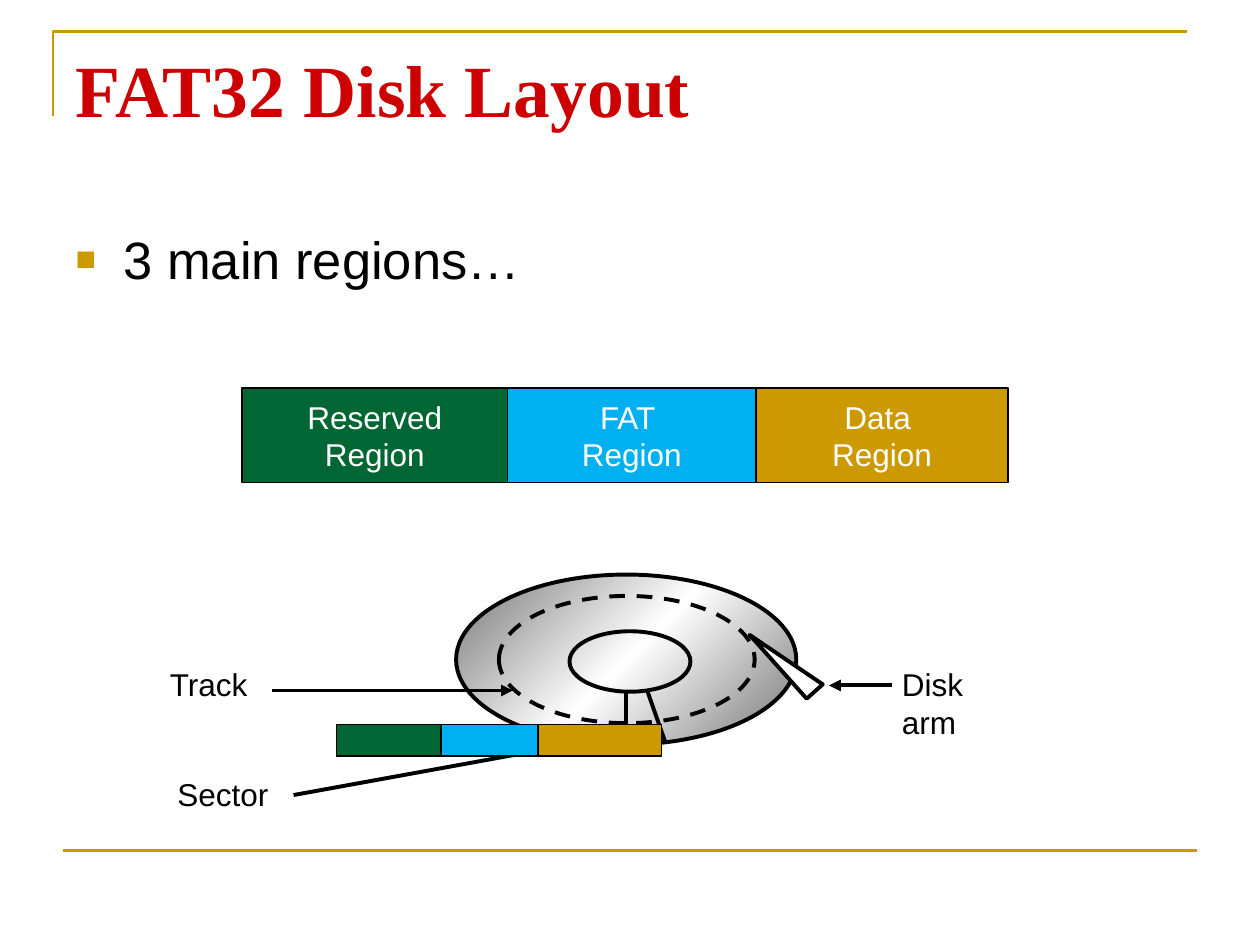
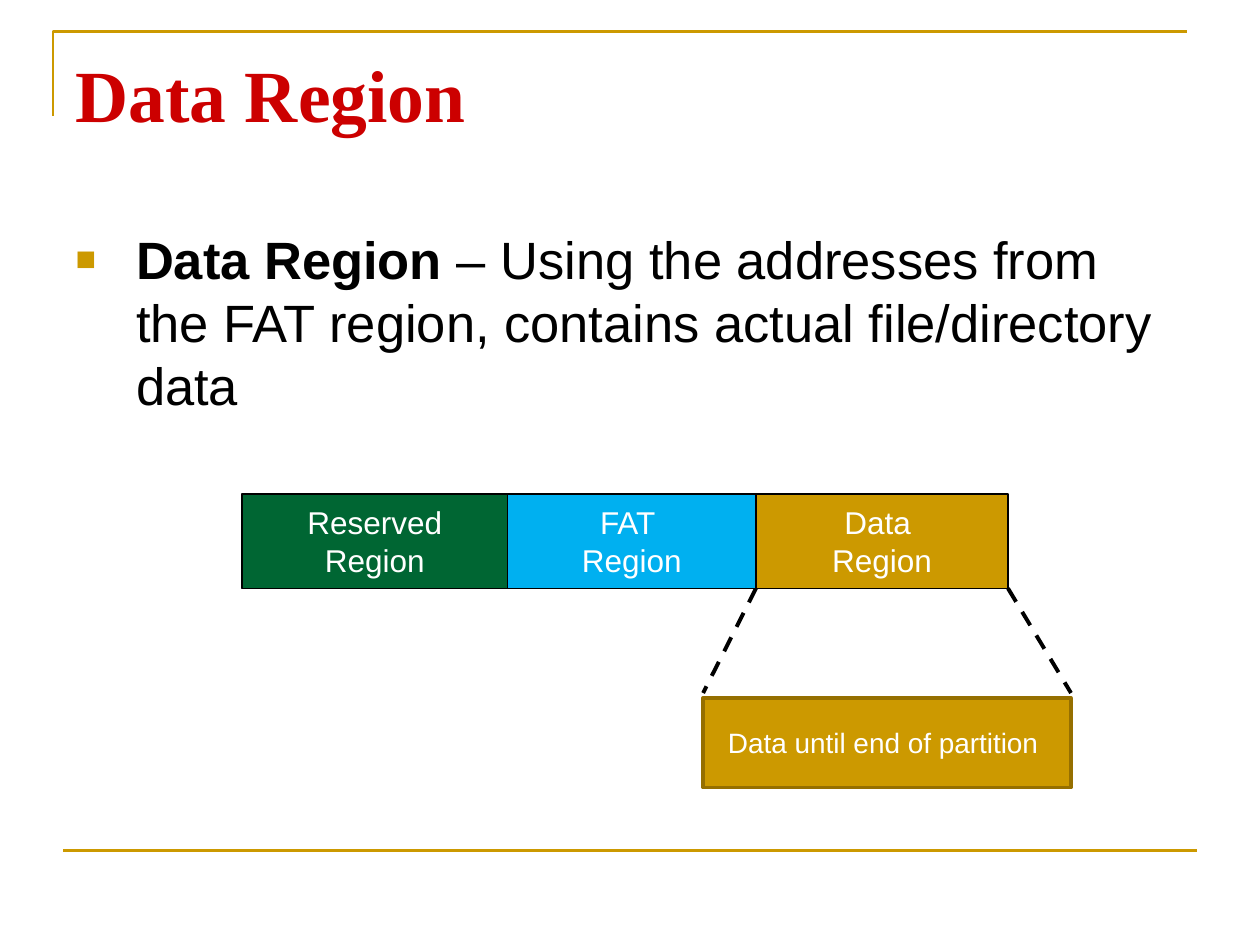
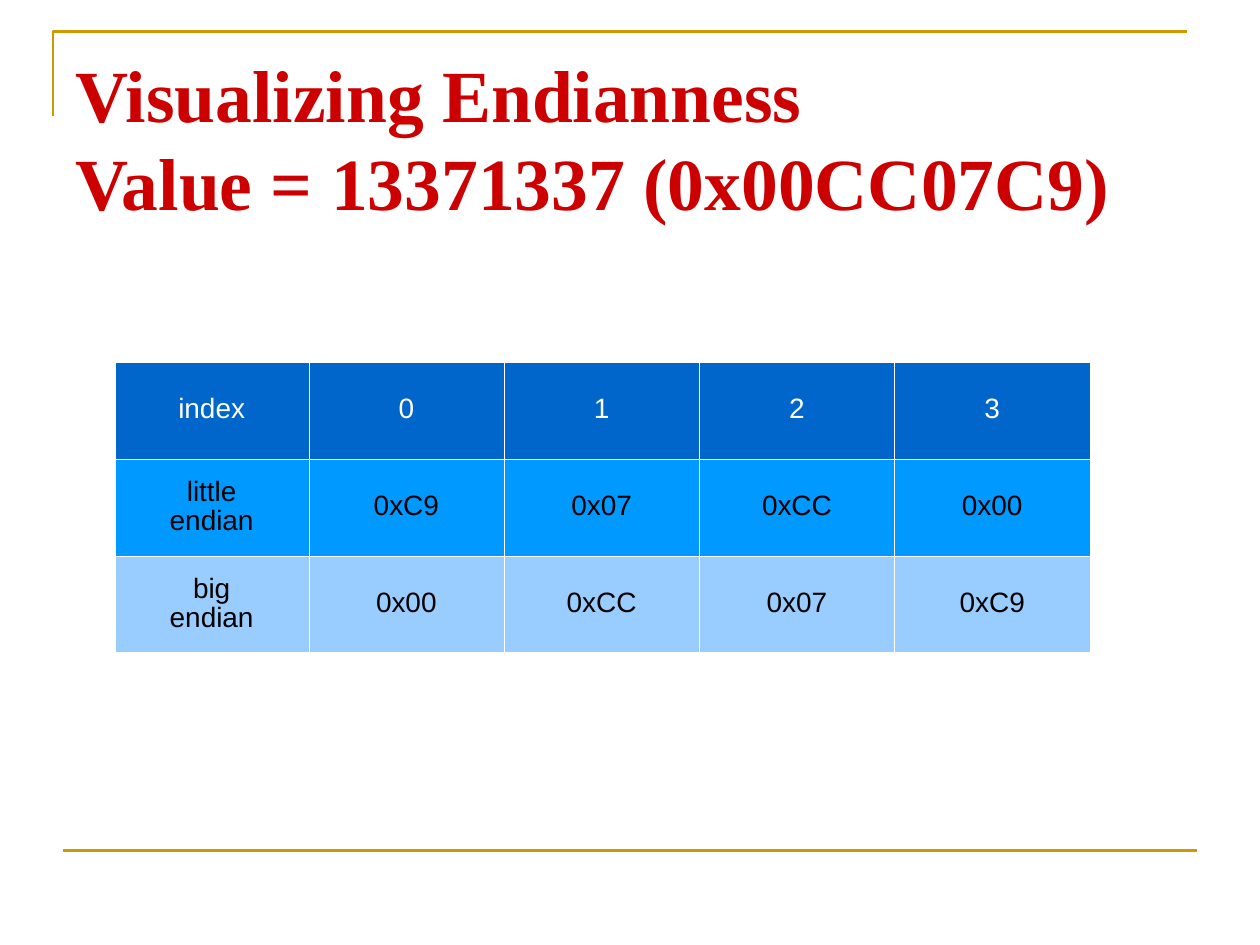
import copy
import pptx
import pptx.util
import pptx.dml.color
import pptx.enum.dml
import pptx.enum.shapes
import pptx.enum.text
import pptx.oxml
import pptx.oxml.ns
from lxml import etree

PX = 9144
qn = pptx.oxml.ns.qn
Pt = pptx.util.Pt
RGB = pptx.dml.color.RGBColor.from_string
SHAPE = pptx.enum.shapes.MSO_SHAPE
STRAIGHT = pptx.enum.shapes.MSO_CONNECTOR.STRAIGHT
DASH = pptx.enum.dml.MSO_LINE.DASH
ANCHOR = pptx.enum.text.MSO_ANCHOR
ALIGN = pptx.enum.text.PP_ALIGN
NO_FIT = pptx.enum.text.MSO_AUTO_SIZE.NONE


class Theme:
    black, white = "000000", "FFFFFF"
    green, sky, gold, dark_gold = "006633", "00B0F0", "CC9900", "956F00"
    disk_edge = "767676"
    table_rows = ["0066CC", "0099FF", "99CCFF"]
    hairline, rule, frame, stroke = 0.75, 1.5, 2, 2.25
    title = {"name": "Times New Roman", "size": Pt(42), "bold": True, "color": "CC0000"}
    body = {"name": "Arial", "size": Pt(30), "color": black}
    label = {"name": "Arial", "size": Pt(18), "color": black}
    region = {**label, "color": white}
    note = {**region, "size": Pt(16)}
    header = {**note, "bold": False}
    cell = {**header, "color": black}


def format_text(tf, fmt, align=ALIGN.LEFT):
    for p in tf.paragraphs:
        p.alignment = align
        for r in p.runs:
            for key, value in fmt.items():
                if key == "color":
                    r.font.color.rgb = RGB(value)
                else:
                    setattr(r.font, key, value)


def format_line(sp, color, width, dash=None):
    sp.line.color.rgb = RGB(color)
    sp.line.width = Pt(width)
    if dash:
        sp.line.dash_style = dash
    etree.SubElement(sp.element.spPr, qn("a:effectLst"))


prs = pptx.Presentation()
prs.slide_width, prs.slide_height = 1000 * PX, 750 * PX

contents = [
    (1, "FAT32 Disk Layout", 30, 125, 5, 38, [("3 main regions…", False)]),
    (1, "Data Region", 28, 129, 11, 48, [
        ("Data Region ", True),
        ("– Using the addresses from the FAT region, contains actual file/directory data", False)]),
    (5, "Visualizing Endianness\vValue = 13371337 (0x00CC07C9)", 28, 129, 11, 0, []),
]
for layout, title, top, height, inset, indent, runs in contents:
    s = prs.slides.add_slide(prs.slide_layouts[layout])
    sp = s.shapes.title
    sp.left, sp.top, sp.width, sp.height = [v * PX for v in (50, top, 900, height)]
    tf = sp.text_frame
    tf.text = title
    tf.auto_size, tf.vertical_anchor, tf.margin_top = NO_FIT, ANCHOR.TOP, inset * PX
    format_text(tf, Theme.title)
    if not runs:
        continue
    sp = s.placeholders[1]
    sp.left, sp.top, sp.width, sp.height = [v * PX for v in (50, 175, 900, 495)]
    tf = sp.text_frame
    tf.auto_size = NO_FIT
    p = tf.paragraphs[0]
    for text, bold in runs:
        r = p.add_run()
        r.text, r.font.bold = text, bold
    format_text(tf, Theme.body)
    p.space_before = Pt(7.5)
    pPr = p._p.get_or_add_pPr()
    pPr.set("marL", str(indent * PX))
    pPr.set("indent", str(-indent * PX))
    color = etree.SubElement(pPr, qn("a:buClr"))
    etree.SubElement(color, qn("a:srgbClr"), val=Theme.gold)
    etree.SubElement(pPr, qn("a:buSzPct"), val="65000")
    etree.SubElement(pPr, qn("a:buChar"), char="■")

layout_slide, data_slide, endian_slide = prs.slides

fb = layout_slide.shapes.build_freeform(42, 92, scale=PX)
fb.add_line_segments([(42, 25), (942, 25)], close=False)
corner = fb.convert_to_shape()
corner.fill.background()
bottom_rule = layout_slide.shapes.add_connector(STRAIGHT, 50 * PX, 675 * PX, 950 * PX, 675 * PX)
for number, sp in enumerate((corner, bottom_rule), 20):
    format_line(sp, Theme.gold, Theme.rule)
    sp.element.xpath(".//p:cNvPr")[0].set("id", str(number))
    prs.slide_master.element.cSld.spTree.insert(2, sp.element)

disk_parts = [
    (SHAPE.OVAL, 362, 456, 270, 135, None),
    (SHAPE.OVAL, 396, 473, 203, 101, DASH),
    (SHAPE.OVAL, 452, 501, 96, 48, None),
    (SHAPE.RIGHT_TRIANGLE, 590, 515, 68, 17, None),
]
disk = []
for kind, x, y, w, h, dash in disk_parts:
    sp = layout_slide.shapes.add_shape(kind, x * PX, y * PX, w * PX, h * PX)
    sp.fill.background()
    format_line(sp, Theme.black, Theme.stroke, dash)
    disk.append(sp)
platter, track, hub, arm = disk
platter.fill.gradient()
stops = platter.element.spPr.find(".//" + qn("a:gsLst"))
stops.append(copy.deepcopy(stops[0]))
shades = [(0, Theme.disk_edge), (0.5, Theme.white), (1, Theme.disk_edge)]
for stop, (position, color) in zip(platter.fill.gradient_stops, shades):
    stop.position, stop.color.rgb = position, RGB(color)
platter.fill.gradient_angle = 135
arm.fill.solid()
arm.fill.fore_color.rgb = RGB(Theme.white)
arm.rotation = 48.2
arm.element.spPr.xfrm.set("flipH", "1")

lines = [
    (layout_slide, 497, 549, 497, 591, None, False),
    (layout_slide, 514, 549, 528, 589, None, False),
    (layout_slide, 708, 544, 658, 544, None, True),
    (layout_slide, 216, 548, 407, 548, None, True),
    (layout_slide, 233, 631, 508, 581, None, True),
    (data_slide, 600, 467, 558, 550, DASH, False),
    (data_slide, 800, 467, 850, 550, DASH, False),
]
for s, x1, y1, x2, y2, dash, arrow in lines:
    cxn = s.shapes.add_connector(STRAIGHT, x1 * PX, y1 * PX, x2 * PX, y2 * PX)
    format_line(cxn, Theme.black, Theme.stroke, dash)
    if arrow:
        etree.SubElement(cxn.line._get_or_add_ln(), qn("a:tailEnd"), type="triangle")

for text, x, y, w in [("Disk arm", 706, 523, 118), ("Track", 125, 523, 82), ("Sector", 131, 610, 92)]:
    tf = layout_slide.shapes.add_textbox(x * PX, y * PX, w * PX, 40 * PX).text_frame
    tf.text, tf.word_wrap = text, False
    format_text(tf, Theme.label)

names = ["Reserved\nRegion", "FAT \nRegion", "Data \nRegion"]
colors = [Theme.green, Theme.sky, Theme.gold]
bars = [
    (layout_slide, 308, 75, [192, 403, 600, 800], names),
    (data_slide, 392, 75, [192, 403, 600, 800], names),
    (layout_slide, 575, 25, [267, 350, 427, 525], [""] * 3),
]
for s, y, h, edges, texts in bars:
    for x, end, color, text in zip(edges, edges[1:], colors, texts):
        sp = s.shapes.add_shape(SHAPE.RECTANGLE, x * PX, y * PX, (end - x) * PX, h * PX)
        sp.fill.solid()
        sp.fill.fore_color.rgb = RGB(color)
        format_line(sp, Theme.black, Theme.hairline)
        if text:
            tf = sp.text_frame
            tf.text, tf.word_wrap, tf.vertical_anchor = text, False, ANCHOR.MIDDLE
            format_text(tf, Theme.region, ALIGN.CENTER)

sp = data_slide.shapes.add_shape(SHAPE.RECTANGLE, 558 * PX, 554 * PX, 292 * PX, 71 * PX)
sp.fill.solid()
sp.fill.fore_color.rgb = RGB(Theme.gold)
format_line(sp, Theme.dark_gold, Theme.frame)
sp.text_frame.text = "Data until end of partition "
format_text(sp.text_frame, Theme.note, ALIGN.CENTER)

rows = [
    ["index", "0", "1", "2", "3"],
    ["little\nendian", "0xC9", "0x07", "0xCC", "0x00"],
    ["big\nendian", "0x00", "0xCC", "0x07", "0xC9"],
]
table = endian_slide.shapes.add_table(3, 5, 91 * PX, 287 * PX, 773 * PX, 231 * PX).table
for i, column in enumerate(table.columns):
    column.width = (155 if i else 154) * PX
for i, (texts, color) in enumerate(zip(rows, Theme.table_rows)):
    for j, text in enumerate(texts):
        cell = table.cell(i, j)
        cell.text_frame.text = text
        cell.vertical_anchor = ANCHOR.MIDDLE
        format_text(cell.text_frame, Theme.cell if i else Theme.header, ALIGN.CENTER)
        for p in cell.text_frame.paragraphs:
            p.line_spacing = 0.93
        tcPr = cell._tc.get_or_add_tcPr()
        for side in ("a:lnL", "a:lnR", "a:lnT", "a:lnB"):
            ln = etree.SubElement(tcPr, qn(side), w=str(Pt(0.06)))
            fill = etree.SubElement(ln, qn("a:solidFill"))
            etree.SubElement(fill, qn("a:srgbClr"), val=Theme.white)
        cell.fill.solid()
        cell.fill.fore_color.rgb = RGB(color)

prs.save("out.pptx")
